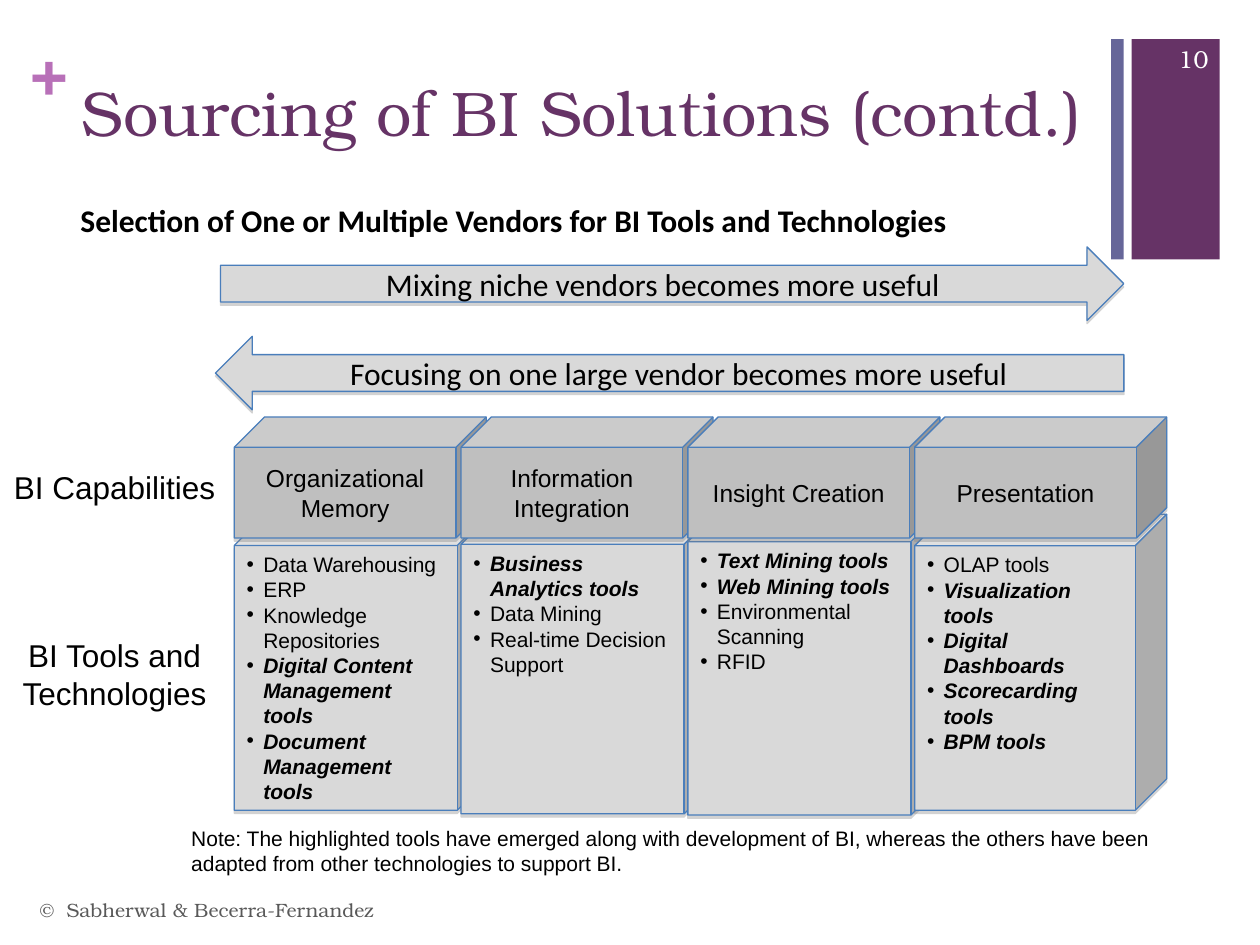
"""Build the slide on sourcing BI solutions from one or several vendors."""
from lxml import etree
from pptx import Presentation
from pptx.dml.color import RGBColor
from pptx.enum.shapes import MSO_SHAPE
from pptx.enum.text import MSO_ANCHOR, PP_ALIGN
from pptx.oxml.ns import qn
from pptx.util import Pt

RECT, CUBE = MSO_SHAPE.RECTANGLE, MSO_SHAPE.CUBE
RIGHT_ARROW, LEFT_ARROW = MSO_SHAPE.RIGHT_ARROW, MSO_SHAPE.LEFT_ARROW
TOP, MIDDLE = MSO_ANCHOR.TOP, MSO_ANCHOR.MIDDLE
LEFT, CENTER, RIGHT = PP_ALIGN.LEFT, PP_ALIGN.CENTER, PP_ALIGN.RIGHT

COLORS = {
    "plum": "663366", "slate": "666699", "orchid": "B870B8",
    "white": "FFFFFF", "black": "000000", "footer": "595959",
    "light": "D9D9D9", "mid": "BFBFBF", "outline": "4A7EBB", "shadow": "808080",
}
SERIF, SANS, LABEL = "TeX Gyre Bonum", "Arial", "Calibri"


class SlideBuilder:
    """Hold the style and the current slide, and draw each kind of element."""

    def __init__(self, slide):
        self.slide = slide
        self.indent = 9.5

    def color(self, name):
        return RGBColor.from_string(COLORS[name])

    def run(self, p, text, size, font, color="black", bold=False, italic=False):
        r = p.add_run()
        r.text = text
        r.font.size, r.font.name = Pt(size), font
        r.font.bold, r.font.italic = bold, italic
        r.font.color.rgb = self.color(color)

    def paragraphs(self, tf, lines, align=LEFT, **style):
        for i, line in enumerate(lines):
            p = tf.add_paragraph() if i else tf.paragraphs[0]
            p.alignment = align
            self.run(p, line, **style)

    def title(self, text, box, **style):
        sp = self.slide.shapes.title
        sp.left, sp.top, sp.width, sp.height = map(Pt, box)
        sp.text_frame.vertical_anchor = TOP
        self.paragraphs(sp.text_frame, [text], **style)

    def text(self, lines, box, anchor=TOP, wrap=True, inset=True, **style):
        tf = self.slide.shapes.add_textbox(*map(Pt, box)).text_frame
        tf.word_wrap, tf.vertical_anchor = wrap, anchor
        if not inset:
            tf.margin_left = tf.margin_right = tf.margin_top = tf.margin_bottom = 0
        self.paragraphs(tf, lines, **style)

    def bar(self, box, fill):
        sp = self.slide.shapes.add_shape(RECT, *map(Pt, box))
        sp.shadow.inherit = False
        sp.fill.solid()
        sp.fill.fore_color.rgb = self.color(fill)
        sp.line.fill.background()

    def block(self, kind, box, fill, adjust, anchor=MIDDLE):
        sp = self.slide.shapes.add_shape(kind, *map(Pt, box))
        sp.adjustments[0] = adjust
        sp.fill.solid()
        sp.fill.fore_color.rgb = self.color(fill)
        sp.line.color.rgb = self.color("outline")
        sp.line.width = Pt(0.75)
        sp.shadow.inherit = False
        effects = sp._element.spPr.find(qn("a:effectLst"))
        shadow = etree.SubElement(effects, qn("a:outerShdw"), blurRad="0",
                                  dist=str(Pt(1.8)), dir="5400000", rotWithShape="0")
        tint = etree.SubElement(shadow, qn("a:srgbClr"), val=COLORS["shadow"])
        etree.SubElement(tint, qn("a:alpha"), val="35000")
        tf = sp.text_frame
        tf.word_wrap, tf.vertical_anchor = True, anchor
        return tf

    def labelled_block(self, kind, text, box, fill, adjust, size, font):
        tf = self.block(kind, box, fill, adjust)
        self.paragraphs(tf, [text], align=CENTER, size=size, font=font)

    def tool_list(self, tools, box, adjust):
        tf = self.block(CUBE, box, "light", adjust, TOP)
        for i, (tool, emerged) in enumerate(tools):
            p = tf.add_paragraph() if i else tf.paragraphs[0]
            p.alignment = LEFT
            pPr = p._p.get_or_add_pPr()
            pPr.set("marL", str(Pt(self.indent)))
            pPr.set("indent", str(-Pt(self.indent)))
            etree.SubElement(pPr, qn("a:buFont"), typeface=SANS)
            etree.SubElement(pPr, qn("a:buChar"), char="•")
            self.run(p, tool, 12, SANS, bold=emerged, italic=emerged)


COLUMNS = [
    ("Organizational Memory", 295.2, 167.8, 0.115, [
        ("Data Warehousing", False), ("ERP", False),
        ("Knowledge Repositories", False),
        ("Digital Content Management tools", True),
        ("Document Management tools", True)]),
    ("Information Integration", 294.5, 170.6, 0.115, [
        ("Business Analytics tools", True), ("Data Mining", False),
        ("Real-time Decision Support", False)]),
    ("Insight Creation", 293, 172.8, 0.115, [
        ("Text Mining tools", True), ("Web Mining tools", True),
        ("Environmental Scanning", False), ("RFID", False)]),
    ("Presentation", 293.8, 169.2, 0.125, [
        ("OLAP tools", False), ("Visualization tools", True),
        ("Digital Dashboards", True), ("Scorecarding tools", True),
        ("BPM tools", True)]),
]
FIRST_LEFT, STEP, CUBE_WIDTH = 133.9, 129.6, 144


def main():
    prs = Presentation()
    prs.slide_width, prs.slide_height = Pt(720), Pt(540)
    s = SlideBuilder(prs.slides.add_slide(prs.slide_layouts[5]))

    s.bar((646.6, 22.3, 50.4, 126), "plum")
    s.bar((635, 22.3, 7.2, 126), "slate")
    s.text(["+"], (17.3, 18, 20.2, 43.2), inset=False, wrap=False,
           size=36, font=SERIF, color="orchid", bold=True)
    s.title("Sourcing of BI Solutions (contd.)", (39.6, 38.2, 594.7, 87.8),
            size=36, font=SERIF, color="plum")
    s.text(["10"], (653.8, 19.4, 43.9, 28.8), anchor=MIDDLE, align=RIGHT,
           size=14, font=SERIF, color="white")
    s.text(["Selection of One or Multiple Vendors for BI Tools and Technologies"],
           (38.9, 111.6, 514, 28.8), wrap=False, size=18, font=LABEL, bold=True)

    columns = [(FIRST_LEFT + i * STEP, *c) for i, c in enumerate(COLUMNS)]
    for group in (columns[:3], columns[3:]):
        for left, _, top, height, adjust, tools in group:
            s.tool_list(tools, (left, top, CUBE_WIDTH, height), adjust)
        for left, name, *_ in group:
            s.labelled_block(CUBE, name, (left, 238.3, CUBE_WIDTH, 69.1),
                             "mid", 0.25, 14, SANS)

    s.labelled_block(RIGHT_ARROW, "Mixing niche vendors becomes more useful",
                     (126, 141.1, 516.2, 42), "light", 0.5, 18, LABEL)
    s.labelled_block(LEFT_ARROW, "Focusing on one large vendor becomes more useful",
                     (123.1, 192.2, 519.1, 42), "light", 0.5, 18, LABEL)

    s.text(["BI Capabilities"], (0.7, 264.2, 129.6, 28.8), wrap=False,
           align=CENTER, size=18, font=SANS)
    s.text(["BI Tools and Technologies"], (0, 360, 131, 50.4),
           align=CENTER, size=18, font=SANS)
    s.text(["Note: The highlighted tools have emerged along with development of BI, "
            "whereas the others have been",
            "adapted from other technologies to support BI."],
           (102.2, 468, 562.3, 36), wrap=False, size=12, font=SANS)
    s.text(["©  Sabherwal & Becerra-Fernandez"], (15.8, 505.4, 482.4, 28.8),
           anchor=MIDDLE, size=11, font=SERIF, color="footer")
    prs.save("out.pptx")


if __name__ == "__main__":
    main()
